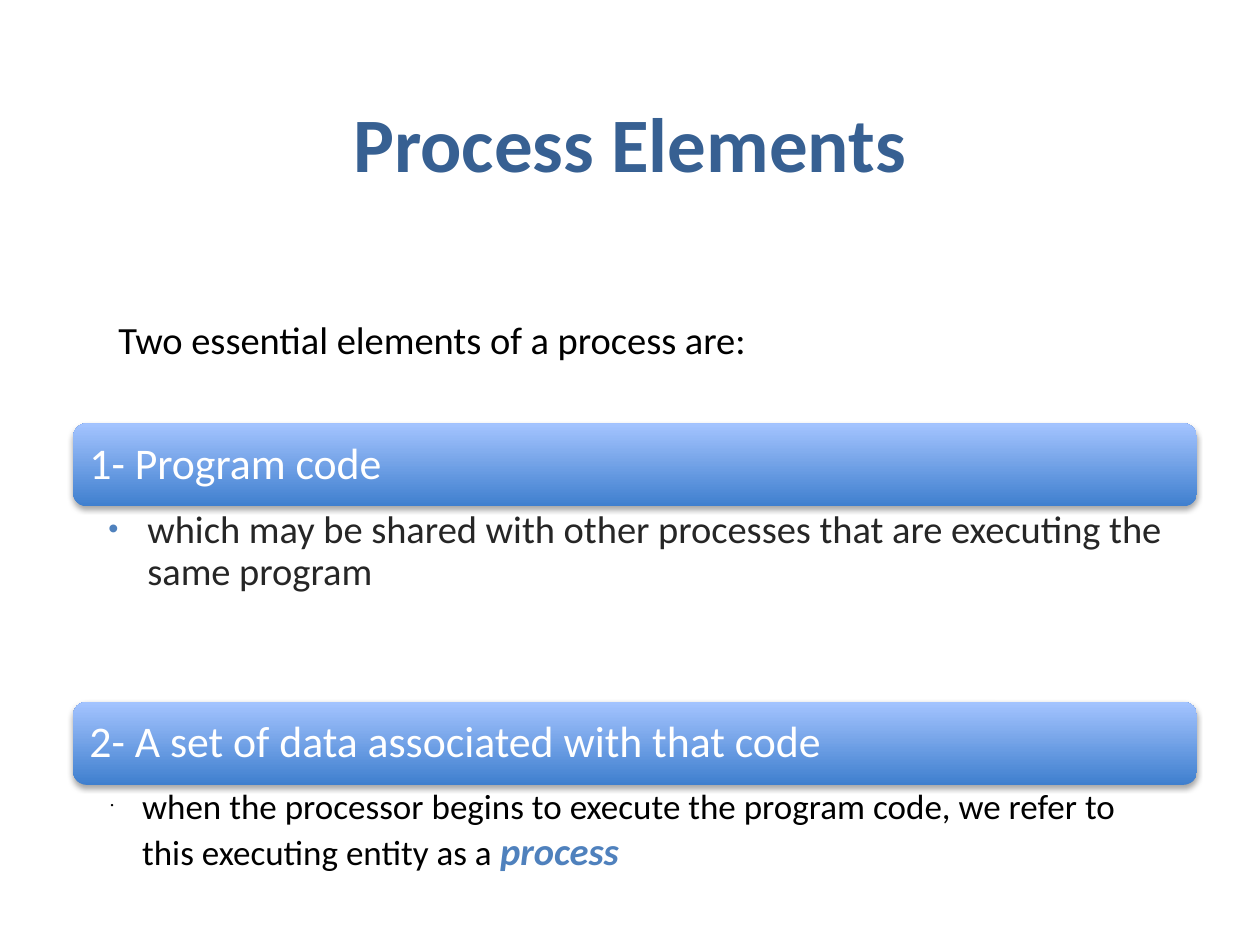
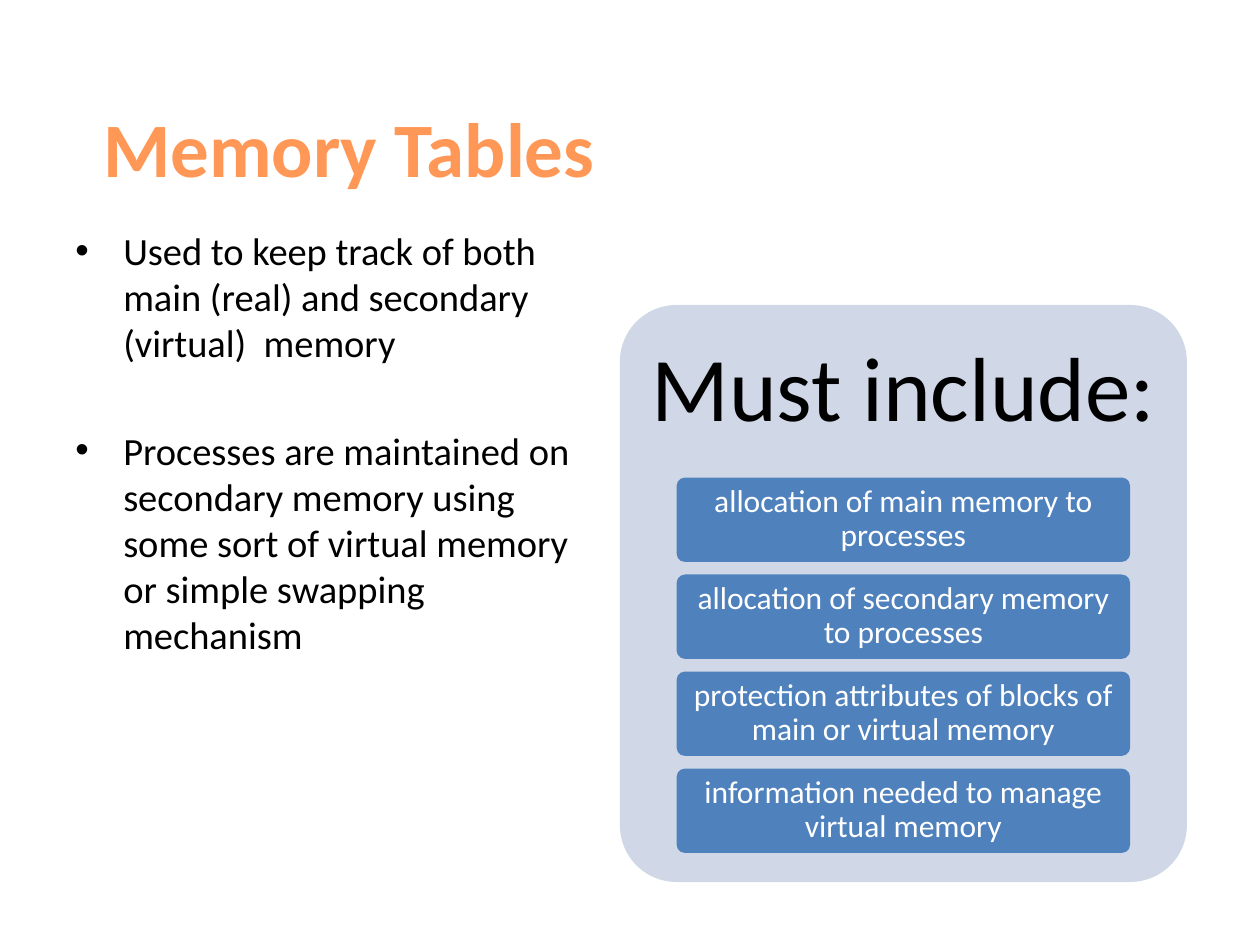
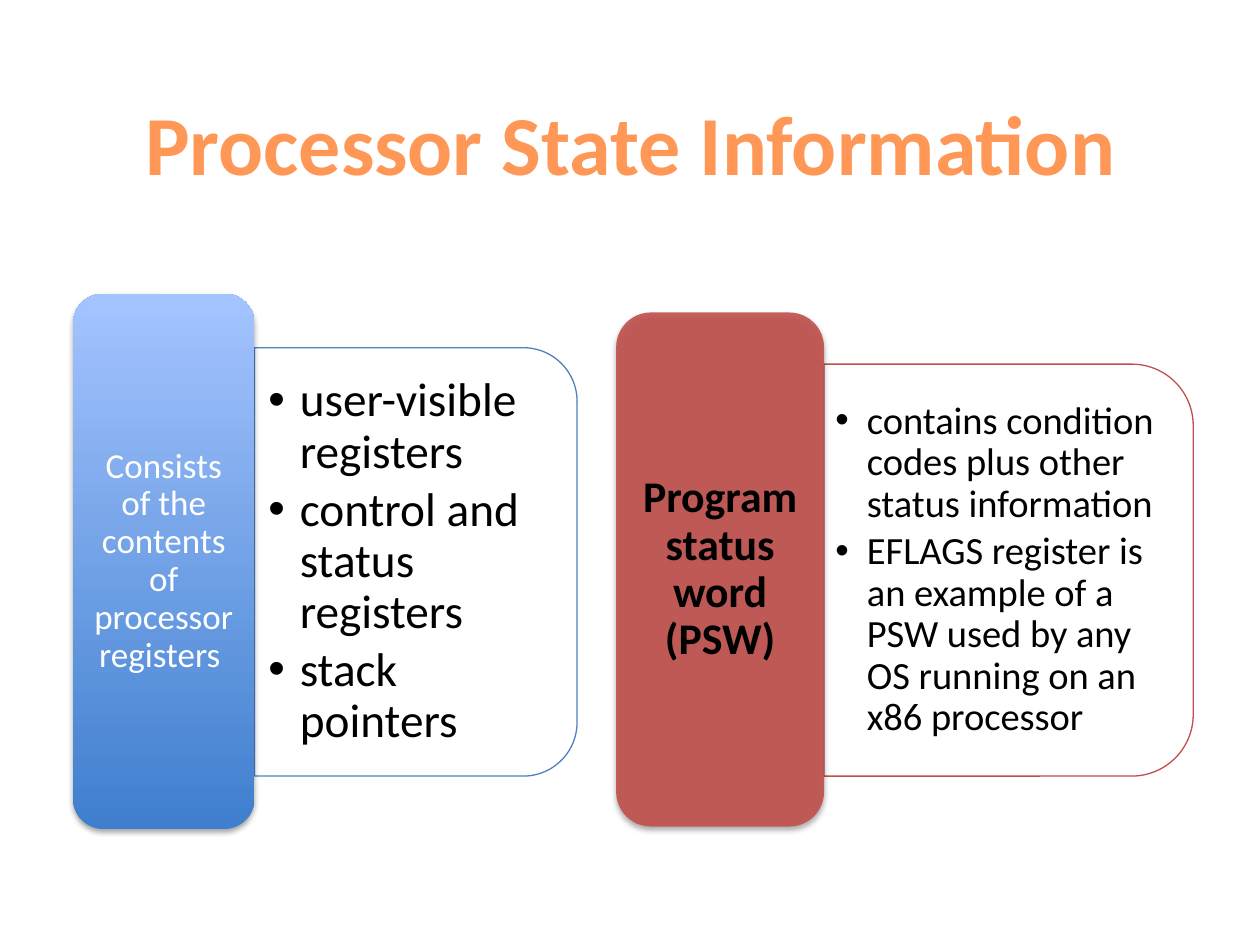
from dataclasses import dataclass

from lxml.etree import SubElement
from pptx import Presentation
from pptx.dml.color import RGBColor
from pptx.enum.shapes import MSO_SHAPE
from pptx.enum.text import MSO_ANCHOR, PP_ALIGN
from pptx.oxml.ns import qn
from pptx.util import Inches, Pt


@dataclass(frozen=True)
class Theme:
    font: str = "Calibri"
    black: str = "000000"
    white: str = "FFFFFF"
    charcoal: str = "262626"
    navy: str = "376092"
    orange: str = "FF9856"
    blue: str = "4F81BD"
    red: str = "C0504D"
    pale: str = "D0D8E8"
    gradient: tuple = ("3F7FCE", "A4C4FF")
    title: int = 44
    title_large: int = 48
    panel_heading: int = 52
    list_large: int = 27
    heading: int = 25
    body: int = 22
    small: int = 20
    tile: int = 18
    tight: float = 0.9


THEME = Theme()
ROUNDING = 0.1667  # default corner radius as a share of the shorter side


# Text
def set_attributes(target, values):
    for name, value in values.items():
        setattr(target, name, value)


def add_run(paragraph, text, size, color, **style):
    run = paragraph.add_run()
    run.text = text
    set_attributes(run.font, {"name": THEME.font, "size": Pt(size), **style})
    run.font.color.rgb = RGBColor.from_string(color)


def set_frame(frame, insets, anchor):
    side, top, right = insets if len(insets) == 3 else (*insets, insets[0])
    set_attributes(frame, {
        "word_wrap": True, "vertical_anchor": anchor,
        "margin_left": Inches(side), "margin_right": Inches(right),
        "margin_top": Inches(top), "margin_bottom": Inches(top),
    })


def write(frame, lines, size, color, insets=(0.1, 0.05), anchor=MSO_ANCHOR.TOP,
          align=PP_ALIGN.LEFT, spacing=1.0, after=0, **style):
    set_frame(frame, insets, anchor)
    for index, line in enumerate(lines):
        paragraph = frame.paragraphs[0] if index == 0 else frame.add_paragraph()
        set_attributes(paragraph, {
            "alignment": align, "line_spacing": spacing, "space_after": Pt(after)})
        add_run(paragraph, line, size, color, **style)
    return frame


def add_text(slide, box, lines, size, color, **layout):
    text_box = slide.shapes.add_textbox(*map(Inches, box))
    return write(text_box.text_frame, lines, size, color, **layout)


def add_bullets(frame, indent, hanging=None, color=None, percent=100):
    for paragraph in frame.paragraphs:
        properties = paragraph._p.get_or_add_pPr()
        properties.set("marL", str(Inches(indent)))
        properties.set("indent", str(-Inches(hanging or indent)))
        if color:
            SubElement(SubElement(properties, qn("a:buClr")), qn("a:srgbClr"), val=color)
        SubElement(properties, qn("a:buSzPct"), val=str(percent * 1000))
        SubElement(properties, qn("a:buFont"), typeface="Arial")
        SubElement(properties, qn("a:buChar"), char="•")


def add_title(slide, box, text, color, size=THEME.title, align=PP_ALIGN.CENTER):
    add_text(slide, box, [text], size, color, anchor=MSO_ANCHOR.MIDDLE,
             align=align, bold=True)


# Shapes
def add_block(slide, box, fill=None, line=None, kind=MSO_SHAPE.ROUNDED_RECTANGLE):
    block = slide.shapes.add_shape(kind, *map(Inches, box))
    block.shadow.inherit = False
    if fill:
        block.fill.solid()
        block.fill.fore_color.rgb = RGBColor.from_string(fill)
    else:
        block.fill.gradient()
        block.fill.gradient_angle = 90
        for stop, color in zip(block.fill.gradient_stops, THEME.gradient):
            stop.color.rgb = RGBColor.from_string(color)
    if line:
        block.line.color.rgb = RGBColor.from_string(line)
        block.line.width = Pt(0.75)
    else:
        block.line.fill.background()
    return block


def add_shadow(block):
    effects = block._element.spPr.find(qn("a:effectLst"))
    shadow = SubElement(effects, qn("a:outerShdw"), blurRad=str(Pt(3.1)),
                        dist=str(Pt(1.8)), dir="5400000", rotWithShape="0")
    tint = SubElement(shadow, qn("a:srgbClr"), val=THEME.black)
    SubElement(tint, qn("a:alpha"), val="35000")


def set_opacity(block, percent):
    tint = block._element.spPr.find(qn("a:solidFill")).find(qn("a:srgbClr"))
    SubElement(tint, qn("a:alpha"), val=str(percent * 1000))


def add_band(slide, top, heading):
    band = add_block(slide, (0.58, top, 8.92, 0.66))
    add_shadow(band)
    write(band.text_frame, [heading], THEME.heading, THEME.white, insets=(0.1, 0.1),
          anchor=MSO_ANCHOR.MIDDLE, spacing=THEME.tight)


def add_tile(slide, box, text):
    tile = add_block(slide, box, THEME.blue)
    tile.adjustments[0] = 0.1
    write(tile.text_frame, [text], THEME.tile, THEME.white, insets=(0.05, 0.04),
          anchor=MSO_ANCHOR.MIDDLE, align=PP_ALIGN.CENTER, spacing=THEME.tight)


def add_pillar(slide, box, text, size, color, insets, fill=None, **style):
    pillar = add_block(slide, box, fill)
    add_shadow(pillar)
    write(pillar.text_frame, [text], size, color, insets=insets, anchor=MSO_ANCHOR.MIDDLE,
          align=PP_ALIGN.CENTER, spacing=THEME.tight, **style)
    return pillar


def add_card(slide, box, items, size, line, insets):
    """Card rounded on its right side, made by turning a top-rounded rectangle."""
    left, top, width, height = box
    shift = (height - width) / 2
    card = add_block(slide, (left - shift, top + shift, height, width), THEME.white, line,
                     MSO_SHAPE.ROUND_2_SAME_RECTANGLE)
    card.rotation = 90
    corner = 0.29 * ROUNDING * width
    frame = add_text(slide, (left, top + corner, width - corner, height - 2 * corner),
                     items, size, THEME.black, insets=insets, anchor=MSO_ANCHOR.MIDDLE,
                     spacing=THEME.tight, after=size * 0.15)
    add_bullets(frame, 0.25)


# Slides
def build_process_elements(slide):
    add_title(slide, (0.72, 0.5, 8.56, 1.25), "Process Elements", THEME.navy)
    add_text(slide, (0.84, 2.5, 8.41, 0.5), ["Two essential elements of a process are:"],
             THEME.body, THEME.black, spacing=THEME.tight)

    add_band(slide, 3.36, "1- Program code")
    sharing = add_text(
        slide, (0.58, 4.02, 8.92, 1.53),
        ["which may be shared with other processes that are executing the same program"],
        THEME.body, THEME.charcoal, insets=(0.28, 0.03, 0.17), spacing=THEME.tight)
    add_bullets(sharing, 0.31, color=THEME.blue, percent=75)

    add_band(slide, 5.57, "2- A set of data associated with that code")
    execution = add_text(
        slide, (0.72, 6.18, 8.53, 0.9),
        ["when the processor begins to execute the program code, "
         "we refer to this executing entity as a "], THEME.small, THEME.black)
    add_run(execution.paragraphs[0], "process", THEME.body, THEME.blue, bold=True, italic=True)
    add_bullets(execution, 0.31, hanging=0.25, percent=25)


def build_memory_tables(slide):
    add_title(slide, (0.72, 0.5, 8.56, 1.33), "Memory Tables", THEME.orange,
              align=PP_ALIGN.LEFT)
    purpose = add_text(
        slide, (0.5, 1.75, 4.42, 4.95),
        ["Used to keep track of both main (real) and secondary (virtual)  memory",
         "Processes are maintained on secondary memory using some sort of virtual memory "
         "or simple swapping mechanism"],
        THEME.body, THEME.black, after=35)
    add_bullets(purpose, 0.38)

    # Panel of required contents
    panel = add_block(slide, (4.92, 2.42, 4.5, 4.58), THEME.pale)
    panel.adjustments[0] = 0.1
    add_text(slide, (4.92, 2.42, 4.5, 1.38), ["Must include:"], THEME.panel_heading,
             THEME.black, insets=(0.22, 0.22), anchor=MSO_ANCHOR.MIDDLE,
             align=PP_ALIGN.CENTER, spacing=THEME.tight)
    contents = ["allocation of main memory to processes",
                "allocation of secondary memory to processes",
                "protection attributes of blocks of main or virtual memory",
                "information needed to manage virtual memory"]
    for row, content in enumerate(contents):
        add_tile(slide, (5.37, 3.79 + 0.77 * row, 3.6, 0.67), content)


def build_processor_state(slide):
    add_title(slide, (0.42, 0.5, 9.17, 1.25), "Processor State Information", THEME.orange,
              size=THEME.title_large)

    # Program status word
    add_card(slide, (6.54, 2.89, 2.93, 3.27),
             ["contains condition codes plus other status information",
              "EFLAGS register is an example of a PSW used by any OS running on an "
              "x86 processor"], THEME.body, THEME.red, (0.09, 0.05))
    status_word = add_pillar(slide, (4.89, 2.48, 1.65, 4.08), "Program status word (PSW)",
                             THEME.heading, THEME.black, (0.1, 0.05), THEME.red, bold=True)
    set_opacity(status_word, 90)

    # Processor registers
    add_card(slide, (2.02, 2.76, 2.56, 3.4),
             ["user-visible registers", "control and status registers", "stack pointers"],
             THEME.list_large, THEME.blue, (0.11, 0.06))
    add_pillar(slide, (0.58, 2.33, 1.44, 4.25),
               "Consists of the contents of processor registers ",
               THEME.small, THEME.white, (0.08, 0.04))


def main():
    deck = Presentation()
    deck.slide_width, deck.slide_height = Inches(10), Inches(7.5)
    blank = deck.slide_layouts[6]
    for build in (build_process_elements, build_memory_tables, build_processor_state):
        build(deck.slides.add_slide(blank))
    deck.save("out.pptx")


if __name__ == "__main__":
    main()
